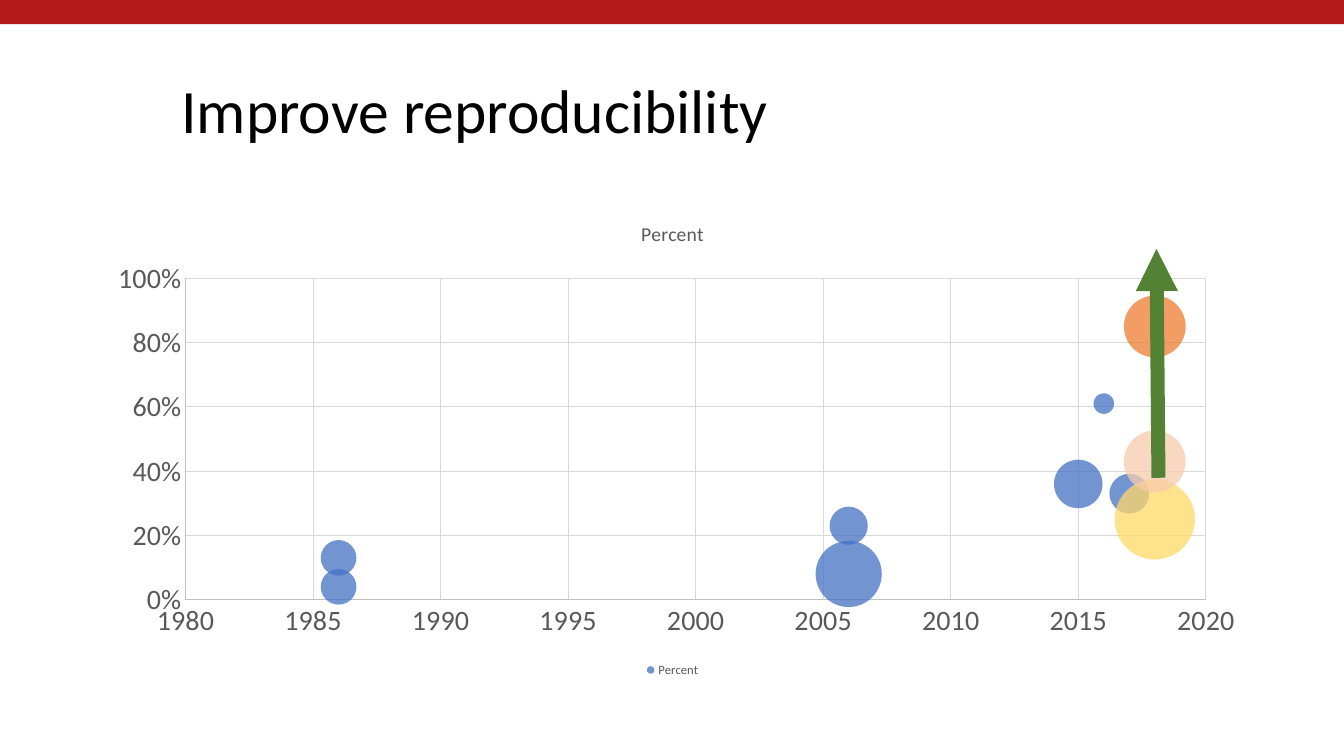
from dataclasses import dataclass

from lxml.etree import SubElement
from pptx import Presentation
from pptx.chart.data import BubbleChartData
from pptx.dml.color import RGBColor
from pptx.enum.chart import XL_CHART_TYPE, XL_LEGEND_POSITION, XL_TICK_MARK
from pptx.enum.shapes import MSO_CONNECTOR, MSO_SHAPE
from pptx.enum.text import MSO_ANCHOR, MSO_AUTO_SIZE, PP_ALIGN
from pptx.oxml import parse_xml
from pptx.oxml.ns import nsdecls, qn
from pptx.util import Inches, Pt


@dataclass(frozen=True)
class Theme:
    """Colours, type sizes and font of the slide."""
    font: str = "Calibri"
    banner: str = "B31B1B"
    heading: str = "000000"
    label: str = "595959"
    axis: str = "BFBFBF"
    grid: str = "D9D9D9"
    bubble: str = "4472C4"
    yellow: str = "FFD966"
    peach: str = "F8CBAD"
    orange: str = "ED7D31"
    arrow: str = "548235"
    title_size: int = 44
    axis_size: int = 20
    chart_title_size: int = 14
    legend_size: int = 9


THEME = Theme()
STUDIES = [
    (1986, 0.04, 54, None),
    (1986, 0.13, 54, None),
    (2006, 0.08, 186, None),
    (2006, 0.23, 62, None),
    (2015, 0.36, 100, None),
    (2016, 0.61, 18, None),
    (2017, 0.33, 67, None),
    (2018, 0.25, 274, THEME.yellow),
    (2018, 0.43, 162, THEME.peach),
    (2018, 0.85, 162, THEME.orange),
]


def style_font(font, size, color):
    """Set the typeface, size and colour of a font."""
    font.name, font.size, font.bold = THEME.font, Pt(size), False
    font.color.rgb = RGBColor.from_string(color)


def set_text(tf, text, size, color, align=None, line_spacing=None):
    """Write one formatted paragraph into a text frame."""
    p = tf.paragraphs[0]
    p.alignment, p.line_spacing = align, line_spacing
    r = p.add_run()
    r.text = text
    style_font(r.font, size, color)


def style_line(line, color, width):
    """Give a line its colour and width in points."""
    line.color.rgb = RGBColor.from_string(color)
    line.width = Pt(width)


def fill_bubble(fmt, color):
    """Fill a bubble at 75 % opacity, without an outline."""
    fmt.fill.solid()
    fmt.fill.fore_color.rgb = RGBColor.from_string(color)
    fmt.line.fill.background()
    for clr in fmt.fill._xPr.iter(qn("a:srgbClr")):
        SubElement(clr, qn("a:alpha"), val="75000")


def style_axis(axis, low, high, step, number_format):
    """Set the scale, labels, line and gridlines of an axis."""
    axis.minimum_scale, axis.maximum_scale, axis.major_unit = low, high, step
    axis.major_tick_mark = axis.minor_tick_mark = XL_TICK_MARK.NONE
    axis.has_major_gridlines = True
    style_line(axis.major_gridlines.format.line, THEME.grid, 0.75)
    style_line(axis.format.line, THEME.axis, 0.75)
    labels = axis.tick_labels
    labels.number_format, labels.number_format_is_linked = number_format, False
    style_font(labels.font, THEME.axis_size, THEME.label)


def place_plot(chart, x, y, w, h):
    """Fix the inner plot area as fractions of the chart."""
    plot_area = chart.plots[0]._element.getparent()
    for old in plot_area.findall(qn("c:layout")):
        plot_area.remove(old)
    plot_area.insert(0, parse_xml(
        f'<c:layout {nsdecls("c")}><c:manualLayout><c:layoutTarget val="inner"/>'
        '<c:xMode val="edge"/><c:yMode val="edge"/>'
        f'<c:x val="{x}"/><c:y val="{y}"/><c:w val="{w}"/><c:h val="{h}"/>'
        '</c:manualLayout></c:layout>'))


def add_banner(s, width, height):
    """Draw the band along the top edge."""
    sp = s.shapes.add_shape(MSO_SHAPE.RECTANGLE, 0, 0, width, height)
    sp.shadow.inherit = False
    sp.fill.solid()
    sp.fill.fore_color.rgb = RGBColor.from_string(THEME.banner)
    sp.line.fill.background()


def add_title(s, text):
    """Move and format the title placeholder."""
    sp = s.shapes.title
    sp.left, sp.top = Inches(1.7), Inches(0.4)
    sp.width, sp.height = Inches(10.7), Inches(1.45)
    tf = sp.text_frame
    tf.vertical_anchor, tf.auto_size = MSO_ANCHOR.MIDDLE, MSO_AUTO_SIZE.NONE
    set_text(tf, text, THEME.title_size, THEME.heading,
             align=PP_ALIGN.LEFT, line_spacing=0.9)


def add_bubbles(s, name):
    """Add the bubble chart of percentages by year."""
    data = BubbleChartData(number_format="0%")
    series_data = data.add_series(name)
    for year, share, size, _ in STUDIES:
        series_data.add_data_point(year, share, size)
    chart = s.shapes.add_chart(
        XL_CHART_TYPE.BUBBLE, Inches(0.92), Inches(2), Inches(11.5),
        Inches(4.76), data).chart
    chart.font.name = THEME.font
    chart.has_title = True
    set_text(chart.chart_title.text_frame, name, THEME.chart_title_size, THEME.label)
    chart.has_legend = True
    chart.legend.position = XL_LEGEND_POSITION.BOTTOM
    chart.legend.include_in_layout = False
    style_font(chart.legend.font, THEME.legend_size, THEME.label)
    style_axis(chart.category_axis, 1980, 2020, 5, "General")
    style_axis(chart.value_axis, 0, 1, 0.2, "0%")
    place_plot(chart, 0.08, 0.16, 0.88, 0.67)
    series = chart.plots[0].series[0]
    fill_bubble(series.format, THEME.bubble)
    for i, (_, _, _, color) in enumerate(STUDIES):
        if color:
            fill_bubble(series.points[i].format, color)


def add_arrow(s, x1, y1, x2, y2):
    """Draw a thick arrow between two points in inches."""
    sp = s.shapes.add_connector(
        MSO_CONNECTOR.STRAIGHT, Inches(x1), Inches(y1), Inches(x2), Inches(y2))
    style_line(sp.line, THEME.arrow, 10)
    SubElement(sp.line._get_or_add_ln(), qn("a:tailEnd"), type="triangle")
    SubElement(sp._element.spPr, qn("a:effectLst"))


def main():
    """Build the slide and save it."""
    prs = Presentation()
    prs.slide_width, prs.slide_height = Inches(13.33), Inches(7.5)
    s = prs.slides.add_slide(prs.slide_layouts[5])
    add_banner(s, prs.slide_width, Inches(0.24))
    add_title(s, "Improve reproducibility")
    add_bubbles(s, "Percent")
    add_arrow(s, 11.49, 4.74, 11.47, 2.47)
    prs.save("out.pptx")


if __name__ == "__main__":
    main()
